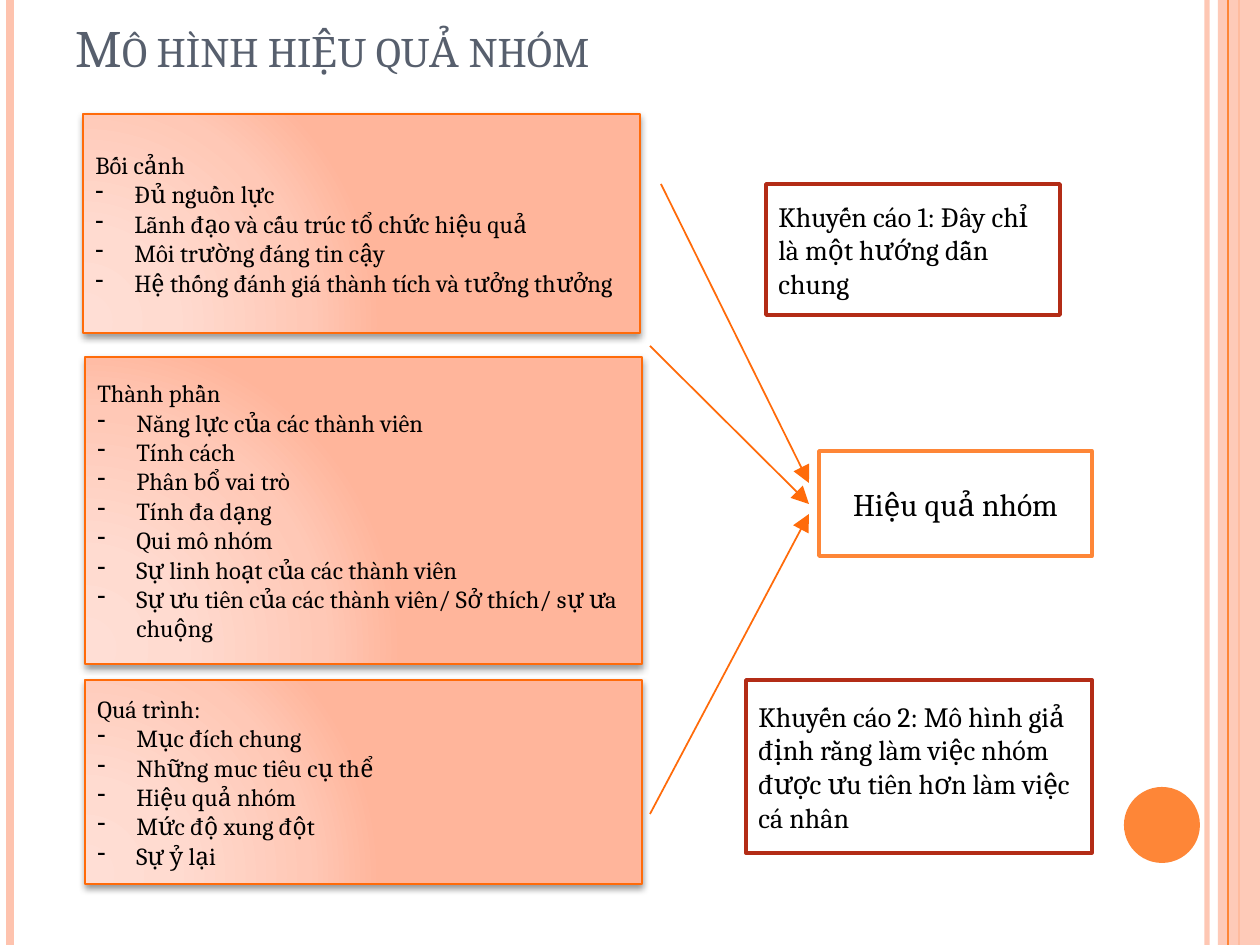
from lxml import etree
from pptx import Presentation
from pptx.dml.color import RGBColor
from pptx.enum.shapes import MSO_CONNECTOR, MSO_SHAPE
from pptx.enum.text import MSO_ANCHOR, MSO_AUTO_SIZE, PP_ALIGN
from pptx.oxml.ns import qn
from pptx.util import Pt

RECTANGLE, OVAL = MSO_SHAPE.RECTANGLE, MSO_SHAPE.OVAL
STRAIGHT = MSO_CONNECTOR.STRAIGHT
MIDDLE, BOTTOM = MSO_ANCHOR.MIDDLE, MSO_ANCHOR.BOTTOM
LEFT, CENTER = PP_ALIGN.LEFT, PP_ALIGN.CENTER
FIXED_SIZE = MSO_AUTO_SIZE.NONE

PIXEL = 914400 / 126
WIDTH, HEIGHT = 1260, 945
FONT = "Cambria"
INDENT = 39

BLACK = RGBColor(0x00, 0x00, 0x00)
WHITE = RGBColor(0xFF, 0xFF, 0xFF)
SLATE = RGBColor(0x57, 0x5F, 0x6D)
PEACH = RGBColor(0xFE, 0xC3, 0xAE)
ORANGE = RGBColor(0xFE, 0x86, 0x37)
VIVID_ORANGE = RGBColor(0xFF, 0x6B, 0x0A)
BRICK = RGBColor(0xB3, 0x2C, 0x16)
GRADIENT_STOPS = [
    (0, RGBColor(0xFF, 0xDE, 0xD5)), (30, RGBColor(0xFF, 0xDB, 0xD0)),
    (75, RGBColor(0xFF, 0xC8, 0xB6)), (100, RGBColor(0xFF, 0xB5, 0x9B)),
]
GRADIENT_CENTER = {"l": 5, "t": 100, "r": 120, "b": 10}

TITLE = "Mô hình hiệu quả nhóm"
FACTORS = [
    ((83, 114, 557, 219), "Bối cảnh", [
        "Đủ nguồn lực",
        "Lãnh đạo và cấu trúc tổ chức hiệu quả",
        "Môi trường đáng tin cậy",
        "Hệ thống đánh giá thành tích và tưởng thưởng",
    ]),
    ((85, 357, 557, 307), "Thành phần", [
        "Năng lực của các thành viên",
        "Tính cách",
        "Phân bổ vai trò",
        "Tính đa dạng",
        "Qui mô nhóm",
        "Sự linh hoạt của các thành viên",
        "Sự ưu tiên của các thành viên/ Sở thích/ sự ưa chuộng",
    ]),
    ((85, 680, 557, 204), "Quá trình:", [
        "Mục đích chung",
        "Những muc tiêu cụ thể",
        "Hiệu quả nhóm",
        "Mức độ xung đột",
        "Sự ỷ lại",
    ]),
]
# place, text, size, line colour, alignment
OUTLINED_BOXES = [
    ((819, 451, 273, 105), "Hiệu quả nhóm", 18, ORANGE, CENTER),
    ((766, 184, 294, 131), "Khuyến cáo 1: Đây chỉ là một hướng dẫn chung", 16, BRICK, LEFT),
    ((746, 680, 346, 173),
     "Khuyến cáo 2: Mô hình giả định rằng làm việc nhóm được ưu tiên hơn làm việc cá nhân",
     16, BRICK, LEFT),
]
ARROWS = [((661, 184), (809, 483)), ((650, 814), (809, 514)), ((650, 346), (809, 504))]
# x, colour, width in points, opacity
RULES_BELOW_BAND = [(1207, PEACH, 3, 93), (10, PEACH, 4.5, 100), (1239, ORANGE, 1.5, 100)]
RULE_ABOVE_BAND = (1228, ORANGE, 0.75, 100)
BAND = (1218, 0, 42, HEIGHT)
DISC = (1124, 787, 76, 76)


def emu(*pixels):
    """Turn pixel lengths into a list of EMU."""
    return [round(value * PIXEL) for value in pixels]


def add_element(parent, tag, **attributes):
    """Append a DrawingML element with the given attributes."""
    element = etree.SubElement(parent, qn(tag))
    for name, value in attributes.items():
        element.set(name, str(value))
    return element


def set_opacity(holder, percent):
    """Give the colour inside an element an opacity."""
    if percent < 100:
        add_element(next(holder.iter(qn("a:srgbClr"))), "a:alpha", val=percent * 1000)


def add_text(para, text, size=14, color=BLACK, align=LEFT, bullet=None):
    """Write one formatted run, with an optional hanging bullet."""
    para.alignment = align
    span = para.add_run()
    span.text = text
    span.font.name, span.font.size, span.font.color.rgb = FONT, Pt(size), color
    if bullet:
        indent = emu(INDENT)[0]
        properties = para._p.get_or_add_pPr()
        properties.set("marL", str(indent))
        properties.set("indent", str(-indent))
        add_element(properties, "a:buFontTx")
        add_element(properties, "a:buChar", char=bullet)
    return span


def add_box(page, place, kind=RECTANGLE, fill=None, line=None, width=1):
    """Add a flat shape with an optional fill and outline."""
    box = page.shapes.add_shape(kind, *emu(*place))
    box.shadow.inherit = False
    if fill is not None:
        box.fill.solid()
        box.fill.fore_color.rgb = fill
    if line is None:
        box.line.fill.background()
    else:
        box.line.color.rgb, box.line.width = line, Pt(width)
    box.text_frame.word_wrap = True
    box.text_frame.vertical_anchor = MIDDLE
    return box


def add_line(page, start, end, color, width, opacity=100, arrow=False):
    """Add a straight line, optionally with an arrowhead at its end."""
    connector = page.shapes.add_connector(STRAIGHT, *emu(*start, *end))
    connector.line.color.rgb, connector.line.width = color, Pt(width)
    properties = connector._element.spPr
    line = properties.find(qn("a:ln"))
    set_opacity(line, opacity)
    if arrow:
        add_element(line, "a:tailEnd", type="triangle", w="lg", len="lg")
    add_element(properties, "a:effectLst")


def add_rule(page, x, color, width, opacity):
    """Add a full-height vertical line."""
    add_line(page, (x, 0), (x, HEIGHT), color, width, opacity)


def add_glow_and_shadow(box):
    """Give a box the circular gradient and a soft drop shadow."""
    properties = box._element.spPr
    gradient = etree.Element(qn("a:gradFill"), rotWithShape="1")
    stops = add_element(gradient, "a:gsLst")
    for position, color in GRADIENT_STOPS:
        stop = add_element(stops, "a:gs", pos=position * 1000)
        add_element(stop, "a:srgbClr", val=color)
    circle = add_element(gradient, "a:path", path="circle")
    center = {side: share * 1000 for side, share in GRADIENT_CENTER.items()}
    add_element(circle, "a:fillToRect", **center)
    properties.find(qn("a:prstGeom")).addnext(gradient)
    shadow = add_element(properties.find(qn("a:effectLst")), "a:outerShdw",
                         blurRad=Pt(4), dist=Pt(2), dir=90 * 60000, rotWithShape=0)
    add_element(shadow, "a:srgbClr", val=BLACK)
    set_opacity(shadow, 40)


def add_factor(page, place, heading, items):
    """Add a gradient box with a heading and a dashed list."""
    box = add_box(page, place, line=VIVID_ORANGE)
    add_glow_and_shadow(box)
    frame = box.text_frame
    add_text(frame.paragraphs[0], heading)
    for item in items:
        add_text(frame.add_paragraph(), item, bullet="-")


def add_title(page):
    """Place and format the title in small capitals."""
    title = page.shapes.title
    title.left, title.top, title.width, title.height = emu(63, -8, 1029, 92)
    frame = title.text_frame
    frame.auto_size, frame.vertical_anchor = FIXED_SIZE, BOTTOM
    span = add_text(frame.paragraphs[0], TITLE, size=30, color=SLATE)
    span.font._element.set("cap", "small")


deck = Presentation()
deck.slide_width, deck.slide_height = emu(WIDTH, HEIGHT)
page = deck.slides.add_slide(deck.slide_layouts[5])

for rule in RULES_BELOW_BAND:
    add_rule(page, *rule)
band = add_box(page, BAND, fill=PEACH)
set_opacity(band._element.spPr, 87)
add_rule(page, *RULE_ABOVE_BAND)
add_box(page, DISC, kind=OVAL, fill=ORANGE)

add_title(page)
for factor in FACTORS:
    add_factor(page, *factor)
for start, end in ARROWS:
    add_line(page, start, end, VIVID_ORANGE, 1, arrow=True)
for place, text, size, color, align in OUTLINED_BOXES:
    box = add_box(page, place, fill=WHITE, line=color, width=2)
    add_text(box.text_frame.paragraphs[0], text, size=size, align=align)

deck.save("out.pptx")
